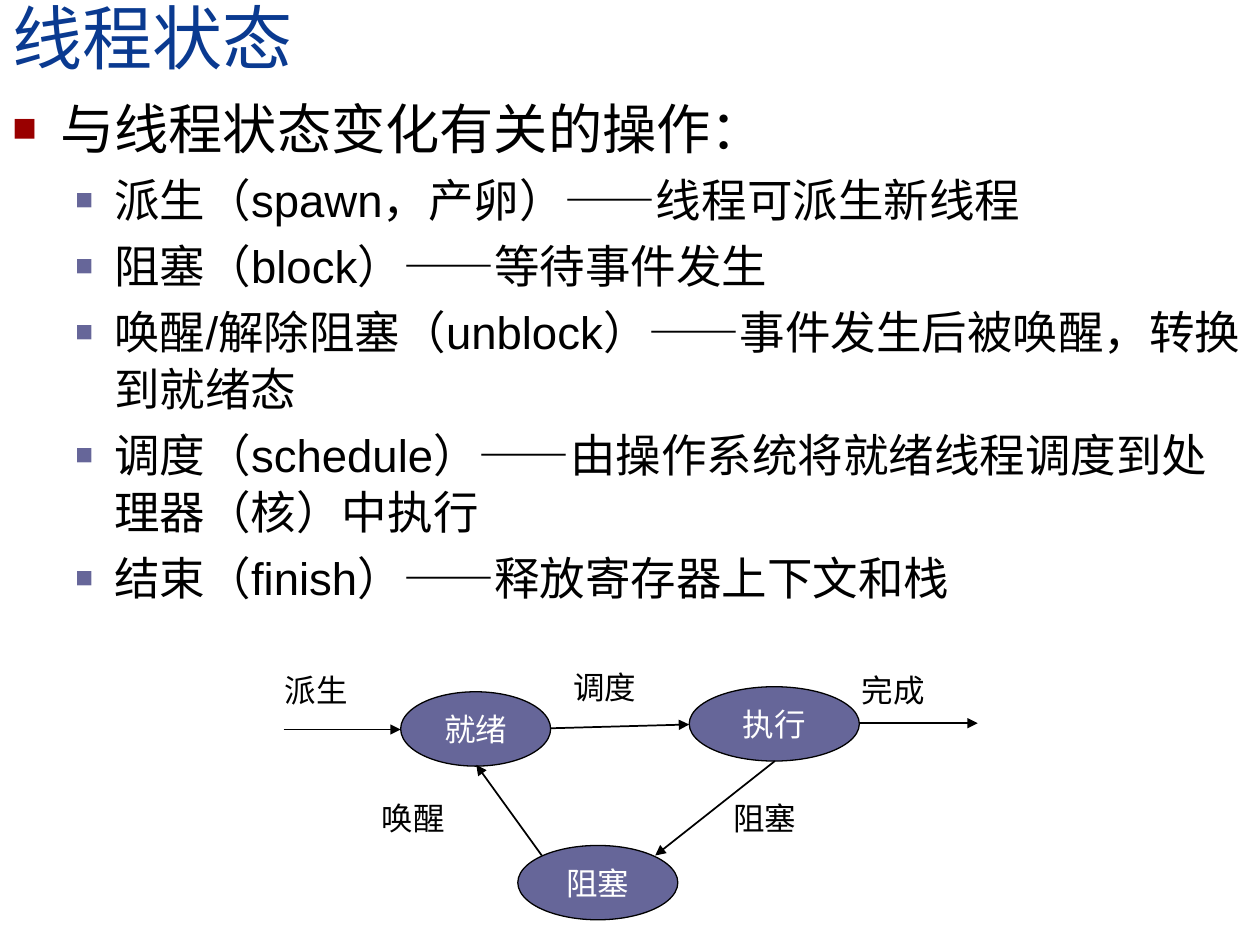
import pptx
import pptx.util
import pptx.dml.color
import pptx.enum.shapes
import pptx.enum.text
import pptx.oxml
import lxml.etree

PX = 9144
BLUE = pptx.dml.color.RGBColor(0x0A, 0x3A, 0x90)
RED = pptx.dml.color.RGBColor(0x99, 0x00, 0x00)
PURPLE = pptx.dml.color.RGBColor(0x66, 0x66, 0x99)
BLACK = pptx.dml.color.RGBColor(0x00, 0x00, 0x00)
WHITE = pptx.dml.color.RGBColor(0xFF, 0xFF, 0xFF)
A = "http://schemas.openxmlformats.org/drawingml/2006/main"


def add_text(paragraph, text, size, font, color):
    run = paragraph.add_run()
    run.text = text
    run.font.size = pptx.util.Pt(size)
    run.font.name = font
    run.font.color.rgb = color


def add_box(left, top, width, height):
    shape = slide.shapes.add_textbox(left * PX, top * PX, width * PX, height * PX)
    shape.text_frame.word_wrap = True
    return shape.text_frame


presentation = pptx.Presentation()
presentation.slide_width = 1000 * PX
presentation.slide_height = 750 * PX
slide = presentation.slides.add_slide(presentation.slide_layouts[6])

title = add_box(0, 0, 1000, 67)
title.vertical_anchor = pptx.enum.text.MSO_ANCHOR.BOTTOM
title.paragraphs[0].line_spacing = 0.8
add_text(title.paragraphs[0], "线程状态", 40, "Times New Roman", BLUE)

heading_style = (31, 38, 38, RED, 75)
item_style = (26, 81, 31, PURPLE, 65)
body_lines = [
    ("与线程状态变化有关的操作：", heading_style),
    ("派生（spawn，产卵）——线程可派生新线程", item_style),
    ("阻塞（block）——等待事件发生", item_style),
    ("唤醒/解除阻塞（unblock）——事件发生后被唤醒，转换到就绪态", item_style),
    ("调度（schedule）——由操作系统将就绪线程调度到处理器（核）中执行", item_style),
    ("结束（finish）——释放寄存器上下文和栈", item_style),
]
body = add_box(0, 68, 1000, 682)
for index, (text, style) in enumerate(body_lines):
    size, margin, hanging, bullet_color, bullet_size = style
    paragraph = body.paragraphs[0] if index == 0 else body.add_paragraph()
    paragraph.line_spacing = 1.05
    paragraph.space_before = pptx.util.Pt(round(size * 0.2))
    properties = paragraph._p.get_or_add_pPr()
    properties.set("marL", str(margin * PX))
    properties.set("indent", str(-hanging * PX))
    color = lxml.etree.SubElement(properties, f"{{{A}}}buClr")
    lxml.etree.SubElement(color, f"{{{A}}}srgbClr", val=str(bullet_color))
    lxml.etree.SubElement(properties, f"{{{A}}}buSzPct", val=str(bullet_size * 1000))
    lxml.etree.SubElement(properties, f"{{{A}}}buFont", typeface="Arial")
    lxml.etree.SubElement(properties, f"{{{A}}}buChar", char="■")
    add_text(paragraph, text, size, "Arial", BLACK)

states = [("就绪", 318, 549, 119), ("执行", 547, 545, 135), ("阻塞", 411, 671, 127)]
for text, left, top, width in states:
    shape = slide.shapes.add_shape(
        pptx.enum.shapes.MSO_SHAPE.OVAL, left * PX, top * PX, width * PX, 59 * PX)
    shape.shadow.inherit = False
    shape.fill.solid()
    shape.fill.fore_color.rgb = PURPLE
    shape.line.color.rgb = BLACK
    shape.line.width = pptx.util.Pt(0.75)
    shape.text_frame.word_wrap = False
    shape.text_frame.vertical_anchor = pptx.enum.text.MSO_ANCHOR.MIDDLE
    paragraph = shape.text_frame.paragraphs[0]
    paragraph.alignment = pptx.enum.text.PP_ALIGN.CENTER
    add_text(paragraph, text, 18, "Comic Neue", WHITE)

transitions = [
    (225, 579, 318, 579),
    (437, 578, 547, 575),
    (682, 574, 776, 574),
    (615, 604, 520, 679),
    (430, 679, 378, 607),
]
for start_x, start_y, end_x, end_y in transitions:
    arrow = slide.shapes.add_connector(
        pptx.enum.shapes.MSO_CONNECTOR.STRAIGHT,
        start_x * PX, start_y * PX, end_x * PX, end_y * PX)
    arrow.line.color.rgb = BLACK
    arrow.line.width = pptx.util.Pt(1)
    lxml.etree.SubElement(arrow.line._get_or_add_ln(), f"{{{A}}}tailEnd", type="triangle")
    lxml.etree.SubElement(arrow._element.spPr, f"{{{A}}}effectLst")

labels = [
    ("派生", 216, 528, 102),
    ("调度", 445, 525, 119),
    ("完成", 674, 528, 102),
    ("唤醒", 293, 629, 118),
    ("阻塞", 572, 629, 93),
]
for text, left, top, width in labels:
    label = add_box(left, top, width, 40)
    add_text(label.paragraphs[0], text, 18, "Comic Neue", BLACK)

presentation.save("out.pptx")
